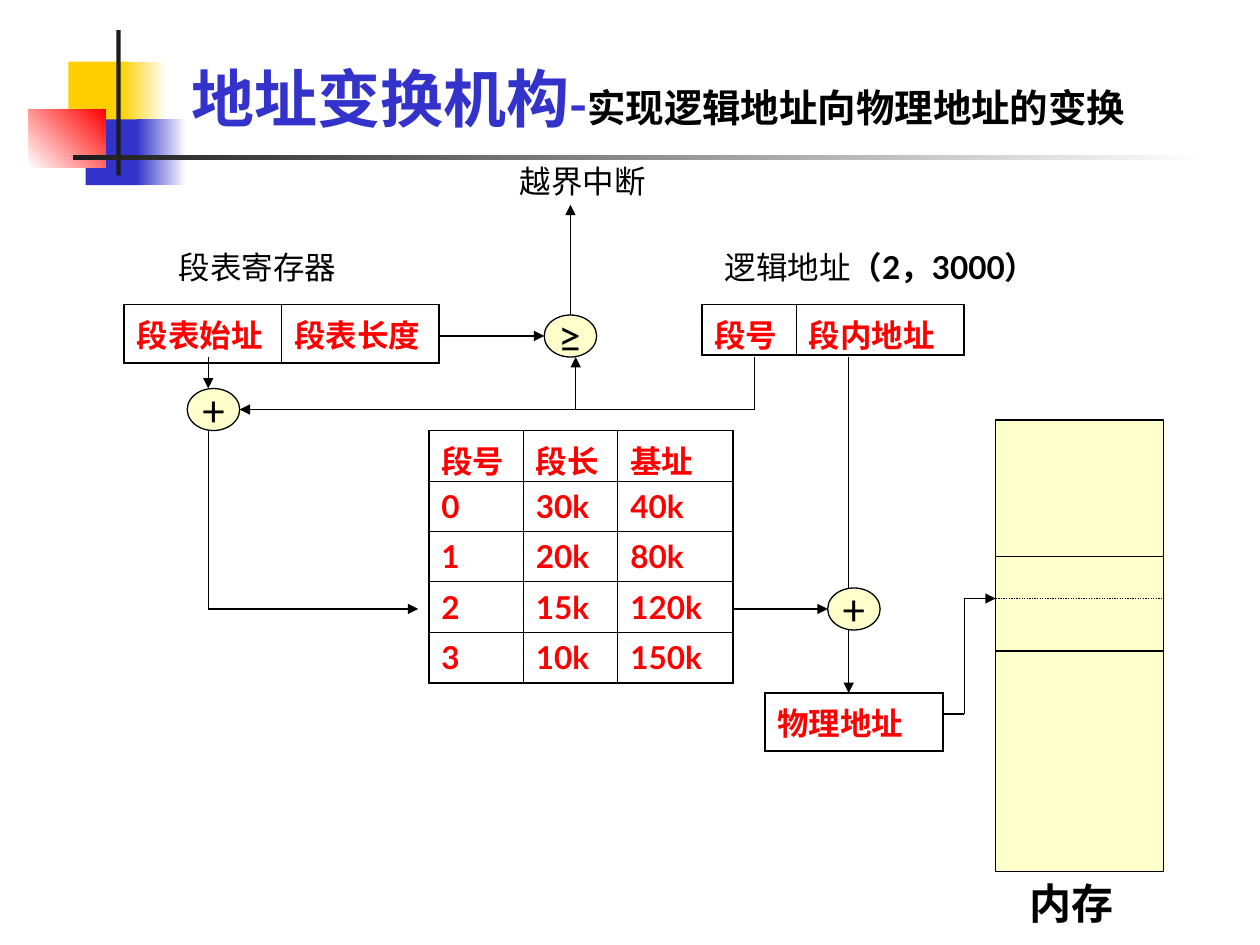
from collections import namedtuple
from itertools import pairwise

from lxml import etree
from pptx import Presentation
from pptx.dml.color import RGBColor
from pptx.enum import dml, shapes, text
from pptx.oxml import ns
from pptx.util import Pt

BLACK = RGBColor(0, 0, 0)
WHITE = RGBColor(255, 255, 255)
CHARCOAL = RGBColor(0x1C, 0x1C, 0x1C)
GOLD = RGBColor(0xFF, 0xCF, 0x01)
BLUE = RGBColor(0x33, 0x33, 0xCC)
RED = RGBColor(255, 0, 0)
CREAM = RGBColor(0xFF, 0xFF, 0xCC)
LATIN, ASIAN = "Lato", "Noto Sans CJK SC"
OUTER, INNER = 1.08, 0.45

Box = namedtuple("Box", "left top width height")


def add_span(para, words, size=18, color=BLACK, bold=False, name=LATIN):
    span = para.add_run()
    span.text = words
    font = span.font
    font.size, font.bold, font.name = Pt(size), bold, name
    font.color.rgb = color
    etree.SubElement(font._element, ns.qn("a:ea"), typeface=ASIAN)


def add_label(page, box, words, **style):
    label = page.shapes.add_textbox(*map(Pt, box))
    label.text_frame.word_wrap = True
    add_span(label.text_frame.paragraphs[0], words, **style)
    return label


def add_block(page, kind, box, fill, fade=None, angle=0, outline=None):
    block = page.shapes.add_shape(kind, *map(Pt, box))
    block.shadow.inherit = False
    if fade is None:
        block.fill.solid()
        block.fill.fore_color.rgb = fill
    else:
        block.fill.gradient()
        block.fill.gradient_angle = angle
        for stop, color in zip(block.fill.gradient_stops, (fill, fade)):
            stop.color.rgb = color
    if outline is None:
        block.line.fill.background()
    else:
        block.line.color.rgb = outline
        block.line.width = Pt(0.75)
    return block


def add_path(page, points, arrow=True, dash=None):
    for start, end in pairwise(points):
        line = page.shapes.add_connector(
            shapes.MSO_CONNECTOR.STRAIGHT, *map(Pt, start + end))
        line.line.color.rgb = BLACK
        line.line.width = Pt(0.75)
        if dash:
            line.line.dash_style = dash
        if arrow and end == points[-1]:
            etree.SubElement(line.line._get_or_add_ln(), ns.qn("a:tailEnd"), type="triangle")
        etree.SubElement(line._element.spPr, ns.qn("a:effectLst"))


def add_operator(page, box, symbol):
    oval = add_block(page, shapes.MSO_SHAPE.OVAL, box, CREAM, outline=BLACK)
    oval.text_frame.word_wrap = False
    oval.text_frame.vertical_anchor = text.MSO_ANCHOR.MIDDLE
    para = oval.text_frame.paragraphs[0]
    para.alignment = text.PP_ALIGN.CENTER
    add_span(para, symbol, size=24)


def set_borders(cell, widths):
    for side, width in zip("LRTB", widths):
        border = etree.SubElement(
            cell._tc.get_or_add_tcPr(), ns.qn(f"a:ln{side}"), w=str(Pt(width)))
        fill = etree.SubElement(border, ns.qn("a:solidFill"))
        etree.SubElement(fill, ns.qn("a:srgbClr"), val=str(BLACK))


def add_grid(page, left, top, columns, row_height, rows):
    frame = page.shapes.add_table(
        len(rows), len(columns), Pt(left), Pt(top),
        Pt(sum(columns)), Pt(row_height * len(rows)))
    table = frame.table
    table.first_row = table.horz_banding = False
    for column, width in zip(table.columns, columns):
        column.width = Pt(width)
    last_row, last_column = len(rows) - 1, len(columns) - 1
    for i, row in enumerate(rows):
        table.rows[i].height = Pt(row_height)
        for j, words in enumerate(row):
            cell = table.cell(i, j)
            edges = (j == 0, j == last_column, i == 0, i == last_row)
            set_borders(cell, [OUTER if edge else INNER for edge in edges])
            cell.fill.background()
            add_span(cell.text_frame.paragraphs[0], words, color=RED, bold=True)


def draw_decoration(page, box):
    for x, y, width, height, fill, fade, angle in (
            (22.5, 18, 34.5, 37.5, GOLD, None, 0),
            (52.5, 18, 26, 37.5, GOLD, WHITE, 0),
            (32.5, 51, 33, 37.5, BLUE, None, 0),
            (61.5, 51, 28.5, 37.5, BLUE, WHITE, 0),
            (0, 45.25, 44, 33.25, WHITE, RED, 45),
            (50, 0, 2.5, 83, CHARCOAL, None, 0),
            (25, 71.5, 648, 2.5, CHARCOAL, WHITE, 0)):
        add_block(page, shapes.MSO_SHAPE.RECTANGLE,
                  (box.left + x, box.top + y, width, height), fill, fade, angle)


def draw_title(page, box):
    title = page.shapes.title
    title.left, title.top, title.width, title.height = map(Pt, box)
    frame = title.text_frame
    frame.word_wrap = True
    frame.auto_size = text.MSO_AUTO_SIZE.NONE
    frame.vertical_anchor = text.MSO_ANCHOR.BOTTOM
    para = frame.paragraphs[0]
    para.alignment = text.PP_ALIGN.LEFT
    for words, size, color in (
            ("地址变换机构", 36, BLUE), ("-", 28, BLUE),
            ("实现逻辑地址向物理地址的变换", 22, BLACK)):
        add_span(para, words, size=size, color=color, bold=True, name=ASIAN)


def draw_register(page, box, indent, label, note, columns, row_height, fields):
    caption = add_label(page, (box.left + indent, box.top, box.width, 28.8), label)
    if note:
        add_span(caption.text_frame.paragraphs[0], note, bold=True)
    add_grid(page, box.left, box.top + 36, columns, row_height, [fields])


def draw_segment_table(page, box):
    rows = [("段号", "段长", "基址"), ("0", "30k", "40k"), ("1", "20k", "80k"),
            ("2", "15k", "120k"), ("3", "10k", "150k")]
    add_grid(page, box.left, box.top, (54, 54, 66), box.height / len(rows), rows)


def draw_memory(page, box):
    add_block(page, shapes.MSO_SHAPE.RECTANGLE, box, CREAM, outline=BLACK)
    for y, dash in ((78, None), (102, dml.MSO_LINE.ROUND_DOT), (132, None)):
        add_path(page, [(box.left, box.top + y), (box.left + box.width, box.top + y)],
                 arrow=False, dash=dash)
    add_label(page, (box.left + 12, box.top + box.height, 72, 36), "内存",
              size=24, bold=True)


def draw_translation(page, box):
    def shift(points):
        return [(box.left + x, box.top + y) for x, y in points]

    for points, arrow in (
            ([(180, 103), (240, 103)], True),
            ([(255, 91), (255, 28)], True),
            ([(360, 115), (360, 145), (66, 145)], True),
            ([(258, 145), (258, 115)], True),
            ([(48, 115), (48, 133)], True),
            ([(48, 157), (48, 259), (168, 259)], True),
            ([(414, 115), (414, 247)], False),
            ([(348, 259), (402, 259)], True),
            ([(414, 271), (414, 307)], True),
            ([(468, 319), (480, 319), (480, 253), (498, 253)], True)):
        add_path(page, shift(points), arrow)
    for x, y, symbol in ((240, 91, "≥"), (36, 133, "+"), (402, 247, "+")):
        add_operator(page, (box.left + x, box.top + y, 30, 24), symbol)
    add_label(page, (box.left + 219, box.top, 92, 28.8), "越界中断")
    add_grid(page, box.left + 366, box.top + 307, (102,), 33.3, [("物理地址",)])


def main():
    deck = Presentation()
    deck.slide_width, deck.slide_height = Pt(720), Pt(540)
    page = deck.slides.add_slide(deck.slide_layouts[5])
    draw_decoration(page, Box(16.5, 17.25, 673, 88.5))
    draw_title(page, Box(102, 20.5, 618, 60.5))
    draw_register(page, Box(71, 138, 114, 69), 24, "段表寄存器", "",
                  (90, 90), 33.3, ("段表始址", "段表长度"))
    draw_register(page, Box(401, 138, 220, 65), 6, "逻辑地址", "（2，3000）",
                  (54, 96), 28.8, ("段号", "段内地址"))
    draw_segment_table(page, Box(245, 246, 174, 144))
    draw_memory(page, Box(569, 240, 96, 258))
    draw_translation(page, Box(71, 89, 498, 341))
    deck.save("out.pptx")


if __name__ == "__main__":
    main()
